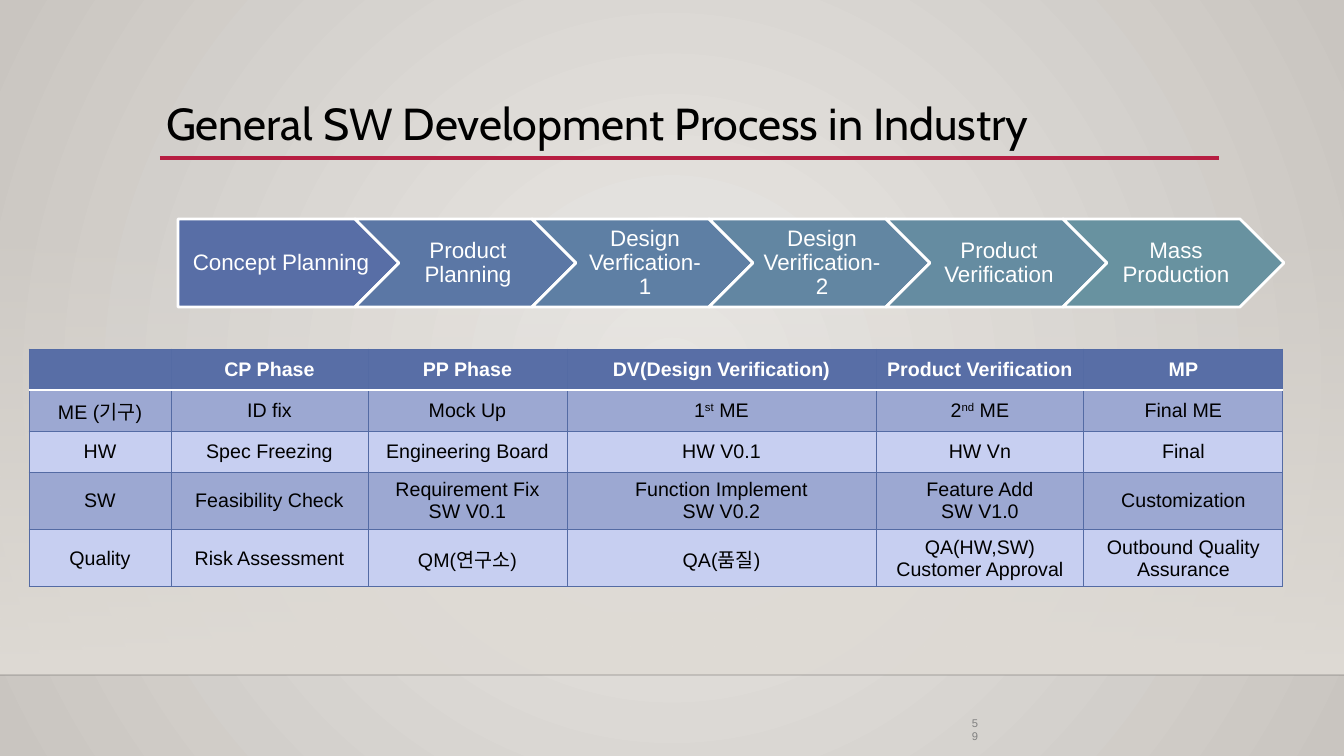
from lxml.etree import SubElement
from pptx import Presentation
from pptx.dml.color import RGBColor
from pptx.enum.shapes import MSO_CONNECTOR, MSO_SHAPE
from pptx.enum.text import MSO_ANCHOR as ANCHOR, PP_ALIGN as ALIGN
from pptx.oxml import parse_xml
from pptx.oxml.ns import nsdecls, qn
from pptx.util import Pt

PX = 914400 / 100.8
WHITE, BLACK, BORDER, HEADER = "FFFFFF", "000000", "546BA4", "586EA6"
BANDS = ("9CA8D2", "C7CFF1")
PHASES = [
    ("Concept Planning", HEADER),
    ("Product Planning", "5B77A5"),
    ("Design Verfication-1", "5E7FA4"),
    ("Design Verification-2", "6286A2"),
    ("Product Verification", "658CA1"),
    ("Mass Production", "6892A0"),
]
COLUMNS = (142, 197, 199, 309, 208, 199)
ROWS = (41, 41, 41, 58, 57)
DELIVERABLES = [
    ["", "CP Phase", "PP Phase", "DV(Design Verification)", "Product Verification", "MP"],
    ["ME (기구)", "ID fix", "Mock Up", "1^st^ ME", "2^nd^ ME", "Final ME"],
    ["HW", "Spec Freezing", "Engineering Board", "HW V0.1", "HW Vn", "Final"],
    ["SW", "Feasibility Check", "Requirement Fix SW V0.1", "Function Implement\nSW V0.2",
     "Feature Add\nSW V1.0", "Customization"],
    ["Quality", "Risk Assessment", "QM(연구소)", "QA(품질)",
     "QA(HW,SW)\nCustomer Approval", "Outbound Quality Assurance"],
]


def px(n):
    return round(n * PX)


def rgb(color):
    return RGBColor.from_string(color)


def set_margins(tf, left, top, right, bottom):
    tf.margin_left, tf.margin_top = px(left), px(top)
    tf.margin_right, tf.margin_bottom = px(right), px(bottom)


def style(p, size, color, name="Arial", bold=False, align=ALIGN.CENTER):
    p.alignment = align
    p.font.size, p.font.name, p.font.bold = Pt(size), name, bold
    p.font.color.rgb = rgb(color)


def gradient(stops, direction):
    gs = "".join(
        f'<a:gs pos="{pos}"><a:srgbClr val="{color}"><a:alpha val="{alpha}"/></a:srgbClr></a:gs>'
        for pos, color, alpha in stops)
    return f'<a:gradFill {nsdecls("a")} rotWithShape="1"><a:gsLst>{gs}</a:gsLst>{direction}</a:gradFill>'


def add_rule(s, x1, x2, y, color, width):
    line = s.shapes.add_connector(MSO_CONNECTOR.STRAIGHT, px(x1), px(y), px(x2), px(y))
    line.line.color.rgb = rgb(color)
    line.line.width = Pt(width)
    SubElement(line._element.spPr, qn("a:effectLst"))
    return line


def add_backdrop(s, width, top, bottom):
    circle = ('<a:path path="circle"><a:fillToRect l="50000" t="50000" r="50000" b="50000"/>'
              '</a:path>')
    fill = gradient([(0, "EBE9E6", 100000), (100000, "C9C5C0", 100000)], circle)
    s._element.cSld.insert(0, parse_xml(
        f'<p:bg {nsdecls("p", "a")}><p:bgPr>{fill}<a:effectLst/></p:bgPr></p:bg>'))

    wall = s.shapes.add_shape(MSO_SHAPE.RECTANGLE, 0, px(top), px(width), px(bottom - top))
    wall.shadow.inherit = False
    wall.line.fill.background()
    fade = gradient([(0, "DFDBD5", 0), (100000, "DFDBD5", 100000)], '<a:lin ang="5400000" scaled="0"/>')
    wall._element.spPr.find(qn("a:prstGeom")).addnext(parse_xml(fade))

    floor = add_rule(s, 0, width, bottom, "000001", 1)
    color = floor._element.spPr.find(".//" + qn("a:srgbClr"))
    SubElement(color, qn("a:alpha"), val="20000")


def add_title(s, x, y, w, h):
    title = s.shapes.title
    title.left, title.top, title.width, title.height = px(x), px(y), px(w), px(h)
    tf = title.text_frame
    tf.text = "General SW Development Process in Industry"
    tf.vertical_anchor = ANCHOR.TOP
    set_margins(tf, 1, 1, 0, 0)
    p = tf.paragraphs[0]
    p.line_spacing = 1.09
    style(p, 32, BLACK, "Cabin", align=ALIGN.LEFT)
    add_rule(s, x - 5, x + 1054, y + 68, "B71E42", 2.5)


def add_phases(s, x, y, w, h):
    arrow_w = 221
    step = (w - arrow_w) / (len(PHASES) - 1)
    for i, (name, color) in enumerate(PHASES):
        kind = MSO_SHAPE.CHEVRON if i else MSO_SHAPE.PENTAGON
        sp = s.shapes.add_shape(kind, px(x + i * step), px(y), px(arrow_w), px(h))
        sp.shadow.inherit = False
        sp.fill.solid()
        sp.fill.fore_color.rgb = rgb(color)
        sp.line.color.rgb = rgb(WHITE)
        sp.line.width = Pt(2)
        tf = sp.text_frame
        tf.text = name
        tf.word_wrap = True
        tf.vertical_anchor = ANCHOR.MIDDLE
        set_margins(tf, 7 if i else 9, 5, 2, 5)
        tf.paragraphs[0].line_spacing = 0.9
        style(tf.paragraphs[0], 16, WHITE)


def set_borders(cell, row):
    tcPr = cell._tc.get_or_add_tcPr()
    white_side = {0: "B", 1: "T"}.get(row)
    for side in "LRTB":
        color, width = (WHITE, 2) if side == white_side else (BORDER, 0.75)
        ln = SubElement(tcPr, qn("a:ln" + side), w=str(Pt(width)))
        SubElement(SubElement(ln, qn("a:solidFill")), qn("a:srgbClr"), val=color)


def fill_cell(cell, text, row):
    set_borders(cell, row)
    cell.fill.solid()
    cell.fill.fore_color.rgb = rgb(BANDS[(row - 1) % 2] if row else HEADER)
    cell.vertical_anchor = ANCHOR.MIDDLE
    tf = cell.text_frame
    for i, line in enumerate(text.split("\n")):
        p = tf.add_paragraph() if i else tf.paragraphs[0]
        style(p, 14, BLACK if row else WHITE, bold=row == 0)
        for j, part in enumerate(line.split("^")):
            r = p.add_run()
            r.text = part
            if j % 2:
                r._r.get_or_add_rPr().set("baseline", "30000")


def add_deliverables(s, x, y):
    frame = s.shapes.add_table(len(ROWS), len(COLUMNS), px(x), px(y),
                               px(sum(COLUMNS)), px(sum(ROWS)))
    table = frame.table
    for column, width in zip(table.columns, COLUMNS):
        column.width = px(width)
    for row, height in zip(table.rows, ROWS):
        row.height = px(height)
    for i, texts in enumerate(DELIVERABLES):
        for j, text in enumerate(texts):
            fill_cell(table.cell(i, j), text, i)


def add_page_number(s, x, y, w, h):
    tf = s.shapes.add_textbox(px(x), px(y), px(w), px(h)).text_frame
    tf.word_wrap = True
    set_margins(tf, 4, 0, 0, 0)
    tf.text = "59"
    style(tf.paragraphs[0], 8, "808080", align=ALIGN.LEFT)


def main():
    prs = Presentation()
    prs.slide_width, prs.slide_height = px(1344), px(756)
    s = prs.slides.add_slide(prs.slide_layouts[5])
    add_backdrop(s, 1344, 223, 675)
    add_title(s, 165, 90, 1080, 60)
    add_phases(s, 178, 219, 1106, 88)
    add_deliverables(s, 29, 349)
    add_page_number(s, 968, 716, 14, 28)
    prs.save("out.pptx")


if __name__ == "__main__":
    main()
